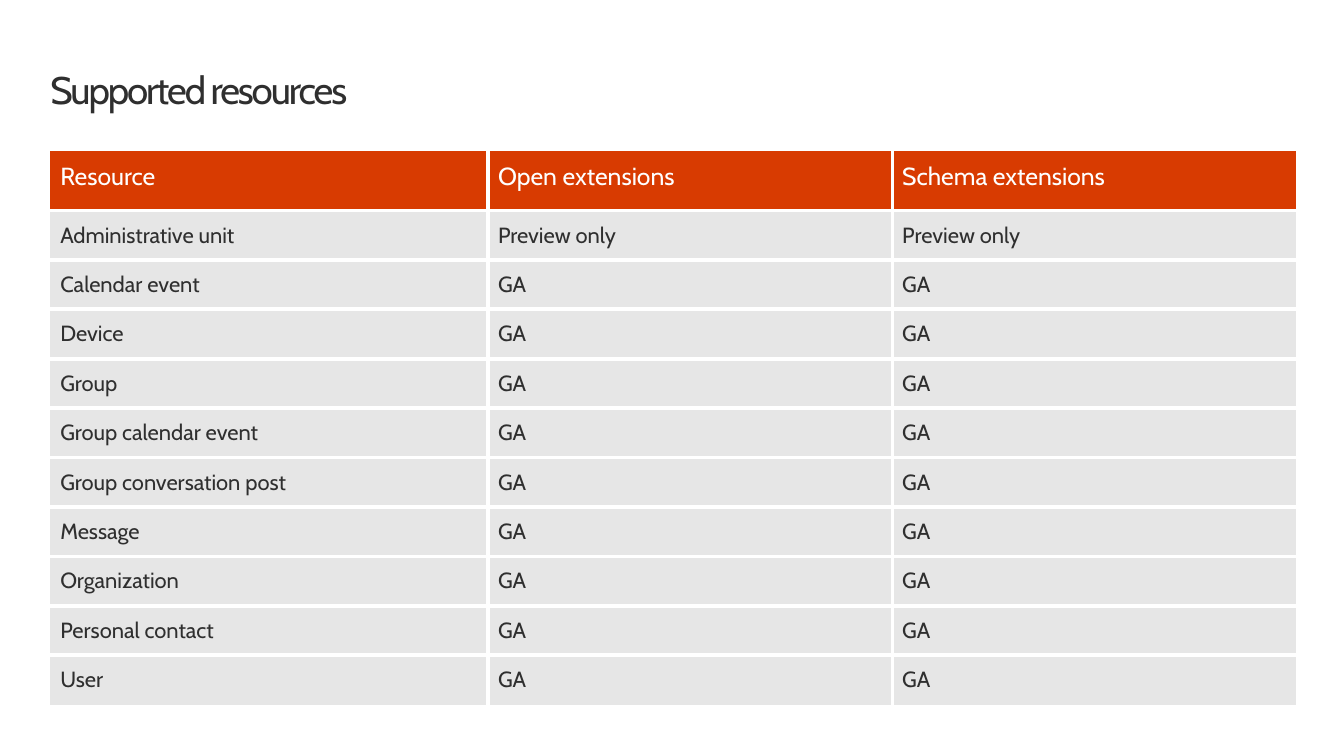
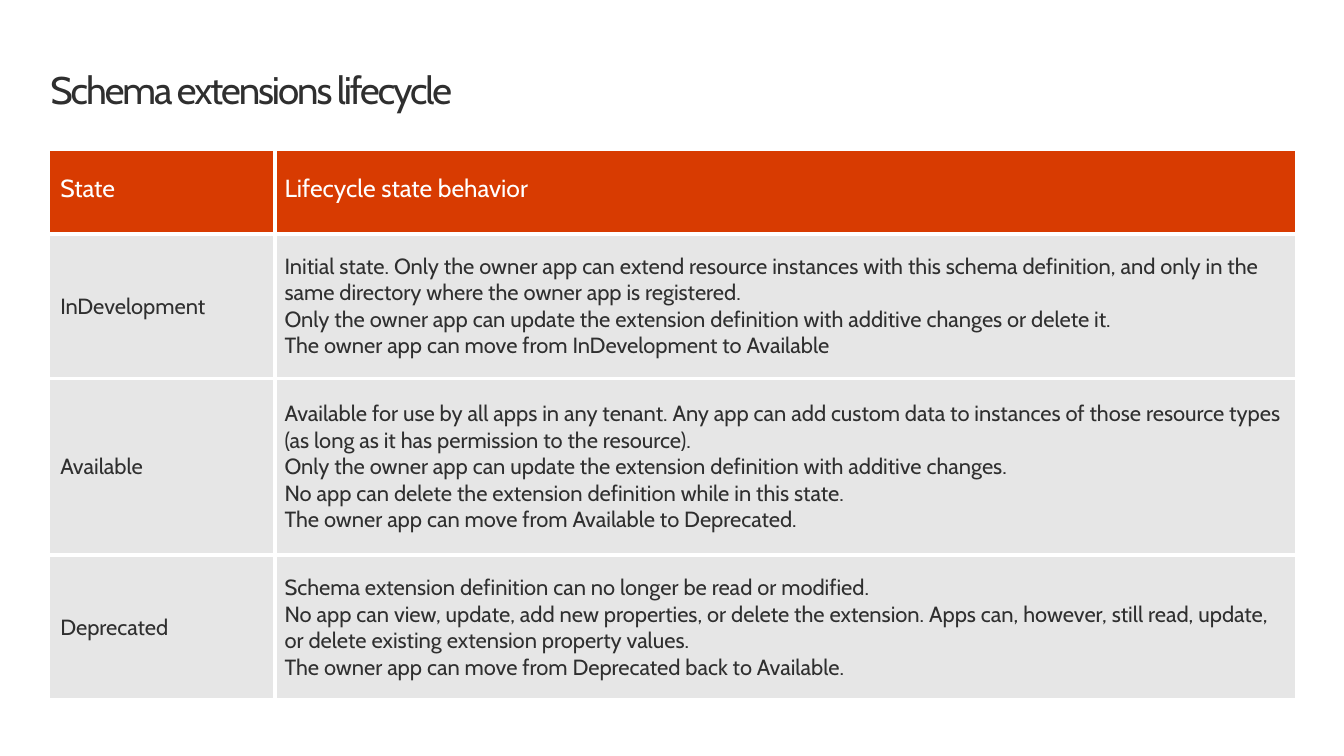
import dataclasses

import lxml.etree
import pptx
import pptx.dml.color
import pptx.enum.text
import pptx.oxml.ns
import pptx.util

PX = 9144


@dataclasses.dataclass(frozen=True)
class Theme:
    """Colours, font and sizes shared by the slides."""
    font: str = "Cabin"
    ink: str = "2F2F2F"
    accent: str = "D83B01"
    panel: str = "E6E6E6"
    white: str = "FFFFFF"
    title_size: int = 28
    title_leading: int = 32
    title_tracking: float = -1.5
    header_size: int = 18
    header_leading: int = 16
    body_size: int = 16
    rule_width: int = 3


THEME = Theme()
SLIDE_SIZE = (1360, 765)
TITLE_BOX = (51, 69, 1261, 45)
TABLE_BOX = (51, 153, 1261, 555)

RESOURCES = [
    ("Administrative unit", "Preview only"),
    ("Calendar event", "GA"),
    ("Device", "GA"),
    ("Group", "GA"),
    ("Group calendar event", "GA"),
    ("Group conversation post", "GA"),
    ("Message", "GA"),
    ("Organization", "GA"),
    ("Personal contact", "GA"),
    ("User", "GA"),
]

STATES = [
    ("InDevelopment", [
        "Initial state. Only the owner app can extend resource instances with this schema "
        "definition, and only in the same directory where the owner app is registered.",
        "Only the owner app can update the extension definition with additive changes or delete it.",
        "The owner app can move from InDevelopment to Available",
    ]),
    ("Available", [
        "Available for use by all apps in any tenant. Any app can add custom data to instances "
        "of those resource types (as long as it has permission to the resource).",
        "Only the owner app can update the extension definition with additive changes.",
        "No app can delete the extension definition while in this state.",
        "The owner app can move from Available to Deprecated.",
    ]),
    ("Deprecated", [
        "Schema extension definition can no longer be read or modified.",
        "No app can view, update, add new properties, or delete the extension. Apps can, "
        "however, still read, update, or delete existing extension property values.",
        "The owner app can move from Deprecated back to Available.",
    ]),
]


def rgb(colour):
    """Turn a hex colour into an RGBColor."""
    return pptx.dml.color.RGBColor.from_string(colour)


def write_text(frame, text, size, colour, leading=None, tracking=None):
    """Fill a text frame with one paragraph for each string in text."""
    lines = [text] if isinstance(text, str) else text
    for index, line in enumerate(lines):
        para = frame.add_paragraph() if index else frame.paragraphs[0]
        para.alignment = pptx.enum.text.PP_ALIGN.LEFT
        if leading:
            para.line_spacing = pptx.util.Pt(leading)
        span = para.add_run()
        span.text = line
        span.font.name = THEME.font
        span.font.size = pptx.util.Pt(size)
        span.font.bold = False
        span.font.color.rgb = rgb(colour)
        if tracking:
            span._r.get_or_add_rPr().set("spc", str(round(tracking * 100)))


def set_borders(cell, visible):
    """Rule the sides of a cell in white and clear the others."""
    properties = cell._tc.get_or_add_tcPr()
    qn = pptx.oxml.ns.qn
    for side in "LRTB":
        line = lxml.etree.SubElement(properties, qn(f"a:ln{side}"))
        line.set("w", str(pptx.util.Pt(THEME.rule_width)))
        if side in visible:
            fill = lxml.etree.SubElement(line, qn("a:solidFill"))
            lxml.etree.SubElement(fill, qn("a:srgbClr")).set("val", THEME.white)
        else:
            lxml.etree.SubElement(line, qn("a:noFill"))


def add_title(page, box, text):
    """Place and format the title placeholder in a box."""
    title = page.shapes.title
    title.left, title.top, title.width, title.height = (value * PX for value in box)
    frame = title.text_frame
    frame.margin_left = frame.margin_top = frame.margin_right = frame.margin_bottom = 0
    frame.word_wrap = True
    frame.vertical_anchor = pptx.enum.text.MSO_ANCHOR.TOP
    frame.auto_size = pptx.enum.text.MSO_AUTO_SIZE.SHAPE_TO_FIT_TEXT
    write_text(frame, text, THEME.title_size, THEME.ink,
               leading=THEME.title_leading, tracking=THEME.title_tracking)


def add_grid(page, box, rows, widths, heights, closed):
    """Place a table with a header row; closed rules its right and bottom edges."""
    left, top, width, height = (value * PX for value in box)
    table = page.shapes.add_table(len(rows), len(widths), left, top, width, height).table
    table.first_row = table.horz_banding = False
    for column, size in zip(table.columns, widths):
        column.width = size * PX
    for row, size in zip(table.rows, heights):
        row.height = size * PX
    for r, texts in enumerate(rows):
        for c, text in enumerate(texts):
            cell = table.cell(r, c)
            sides = {
                "L": c > 0,
                "R": closed or c < len(widths) - 1,
                "T": r > 0,
                "B": closed or r < len(rows) - 1,
            }
            set_borders(cell, [side for side, shown in sides.items() if shown])
            cell.fill.solid()
            cell.fill.fore_color.rgb = rgb(THEME.panel if r else THEME.accent)
            cell.vertical_anchor = pptx.enum.text.MSO_ANCHOR.MIDDLE
            if r:
                write_text(cell.text_frame, text, THEME.body_size, THEME.ink)
            else:
                write_text(cell.text_frame, text, THEME.header_size, THEME.white,
                           leading=THEME.header_leading)


def add_table_slide(deck, title, rows, widths, heights, closed=False):
    """Add a slide made of a title and a table."""
    page = deck.slides.add_slide(deck.slide_layouts[5])
    page.background.fill.solid()
    page.background.fill.fore_color.rgb = rgb(THEME.white)
    add_grid(page, TABLE_BOX, rows, widths, heights, closed)
    add_title(page, TITLE_BOX, title)


def main():
    """Build and save the deck."""
    deck = pptx.Presentation()
    deck.slide_width, deck.slide_height = (value * PX for value in SLIDE_SIZE)
    resource_rows = [("Resource", "Open extensions", "Schema extensions")]
    resource_rows += [(name, status, status) for name, status in RESOURCES]
    add_table_slide(deck, "Supported resources", resource_rows,
                    widths=(443, 409, 409), heights=[60] + [50] * len(RESOURCES))
    add_table_slide(deck, "Schema extensions lifecycle",
                    [("State", "Lifecycle state behavior")] + STATES,
                    widths=(227, 1034), heights=(84, 146, 179, 146), closed=True)
    deck.save("out.pptx")


if __name__ == "__main__":
    main()
